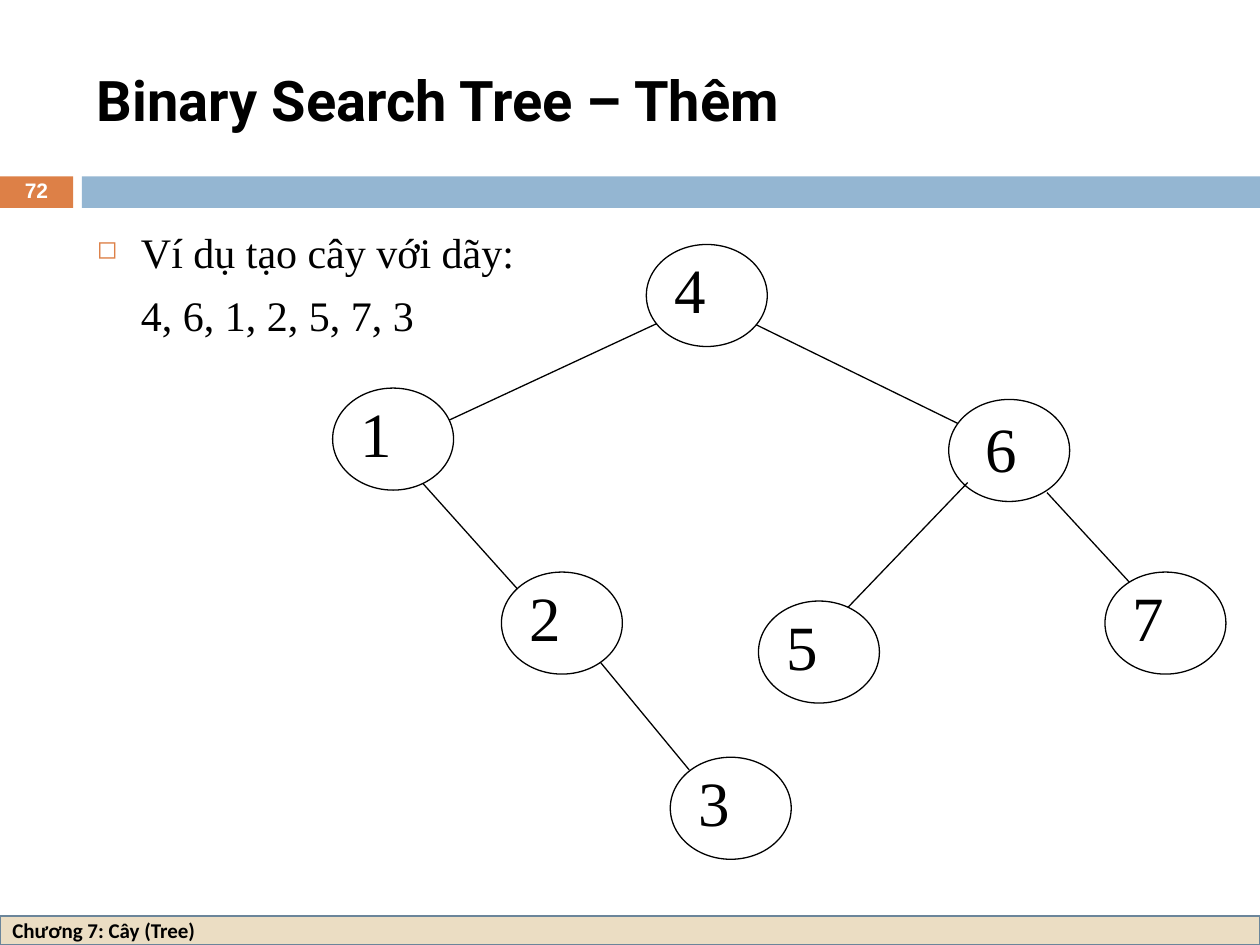
from dataclasses import dataclass

from lxml.etree import SubElement
from pptx import Presentation
from pptx.dml.color import RGBColor
from pptx.enum.shapes import MSO_CONNECTOR, MSO_SHAPE
from pptx.enum.text import MSO_ANCHOR, MSO_AUTO_SIZE, PP_ALIGN
from pptx.oxml.ns import qn
from pptx.util import Inches, Pt


@dataclass(frozen=True)
class Theme:
    black: str = "000000"
    white: str = "FFFFFF"
    orange: str = "DD8047"
    blue: str = "94B6D2"
    sand: str = "EBDDC3"
    footer_line: str = "6B859A"
    title_font: str = "Roboto"
    body_font: str = "Times New Roman"
    footer_font: str = "Calibri"
    number_font: str = "Arial"
    title_size: int = 32
    body_size: int = 24
    node_size: int = 36
    small_size: int = 12


THEME = Theme()
NODE_WIDTH, NODE_HEIGHT, LABEL_HEIGHT = 0.96, 0.81, 0.7

ROOT_RIGHT = ("6", 7.53, 3.17, 0.07, 0.03)
NODES = [
    ("4", 5.13, 1.94),
    ("1", 2.64, 3.08),
    ("2", 3.98, 4.54),
    ("5", 6.02, 4.77),
    ("7", 8.77, 4.54),
    ("3", 5.32, 6.01),
]
EDGES = [
    ((4.76, 5.25), (5.47, 6.11)),
    ((8.31, 3.91), (9.34, 5.03)),
    ((7.68, 3.83), (6.5, 5.06)),
    ((3.35, 3.83), (4.13, 4.7)),
    ((5.51, 2.43), (3.51, 3.36)),
    ((5.7, 2.43), (7.6, 3.36)),
]


def color(value):
    return RGBColor.from_string(value)


def add_block(slide, kind, bounds, fill, line=None, width=0.75):
    shape = slide.shapes.add_shape(kind, *map(Inches, bounds))
    shape.shadow.inherit = False
    shape.fill.solid()
    shape.fill.fore_color.rgb = color(fill)
    if line:
        shape.line.color.rgb = color(line)
        shape.line.width = Pt(width)
    else:
        shape.line.fill.background()
    return shape


def write(shape, text, font, size, ink=THEME.black, bold=False,
          anchor=MSO_ANCHOR.TOP, align=PP_ALIGN.LEFT):
    frame = shape.text_frame
    frame.word_wrap = True
    frame.vertical_anchor = anchor
    frame.text = text
    for para in frame.paragraphs:
        para.alignment = align
        for span in para.runs:
            span.font.name = font
            span.font.size = Pt(size)
            span.font.bold = bold
            span.font.color.rgb = color(ink)
    return frame


def add_text(slide, bounds, text, font, size, **style):
    box = slide.shapes.add_textbox(*map(Inches, bounds))
    return write(box, text, font, size, **style)


def add_node(slide, label, left, top, shift_x=0, shift_y=0):
    add_block(slide, MSO_SHAPE.OVAL, (left, top, NODE_WIDTH, NODE_HEIGHT),
              THEME.white, THEME.black)
    bounds = (left + shift_x, top + shift_y, NODE_WIDTH, LABEL_HEIGHT)
    frame = add_text(slide, bounds, label, THEME.body_font, THEME.node_size)
    frame.margin_left = Inches(0.22)
    frame.auto_size = MSO_AUTO_SIZE.SHAPE_TO_FIT_TEXT
    frame.paragraphs[0].space_before = Pt(22.5)


def add_edge(slide, start, end):
    edge = slide.shapes.add_connector(
        MSO_CONNECTOR.STRAIGHT, *map(Inches, start + end))
    edge.line.color.rgb = color(THEME.black)
    edge.line.width = Pt(0.75)
    SubElement(edge._element.spPr, qn("a:effectLst"))


def add_bullet(para):
    properties = para._p.get_or_add_pPr()
    properties.set("indent", str(-Inches(0.35)))
    bullet_color = SubElement(properties, qn("a:buClr"))
    SubElement(bullet_color, qn("a:srgbClr"), val=THEME.orange)
    SubElement(properties, qn("a:buSzPct"), val="60000")
    SubElement(properties, qn("a:buChar"), char="◻")


def add_body(slide):
    frame = add_text(slide, (0.67, 1.75, 8.92, 4.95),
                     "Ví dụ tạo cây với dãy:\n4, 6, 1, 2, 5, 7, 3",
                     THEME.body_font, THEME.body_size)
    for para in frame.paragraphs:
        para.space_before = Pt(7)
        para._p.get_or_add_pPr().set("marL", str(Inches(0.35)))
    add_bullet(frame.paragraphs[0])


def add_bands(slide):
    add_block(slide, MSO_SHAPE.RECTANGLE, (0, 1.4, 0.58, 0.25), THEME.orange)
    add_block(slide, MSO_SHAPE.RECTANGLE, (0.65, 1.4, 9.35, 0.25), THEME.blue)
    footer = add_block(slide, MSO_SHAPE.RECTANGLE, (0, 7.27, 10, 0.23),
                       THEME.sand, THEME.footer_line, 1.5)
    write(footer, "Chương 7: Cây (Tree)", THEME.footer_font, THEME.small_size,
          bold=True, anchor=MSO_ANCHOR.MIDDLE)
    number = add_text(slide, (0, 1.39, 0.58, 0.27), "72", THEME.number_font,
                      THEME.small_size, ink=THEME.white, bold=True,
                      anchor=MSO_ANCHOR.MIDDLE, align=PP_ALIGN.CENTER)
    number.paragraphs[0].line_spacing = 0.8


def add_tree(slide):
    add_node(slide, *ROOT_RIGHT)
    for start, end in EDGES:
        add_edge(slide, start, end)
    for node in NODES:
        add_node(slide, *node)


def main():
    deck = Presentation()
    deck.slide_width, deck.slide_height = Inches(10), Inches(7.5)
    page = deck.slides.add_slide(deck.slide_layouts[6])
    add_bands(page)
    add_tree(page)
    add_text(page, (0.67, 0.25, 8.92, 1.08), "Binary Search Tree – Thêm",
             THEME.title_font, THEME.title_size, bold=True,
             anchor=MSO_ANCHOR.MIDDLE)
    add_body(page)
    deck.save("out.pptx")


if __name__ == "__main__":
    main()
